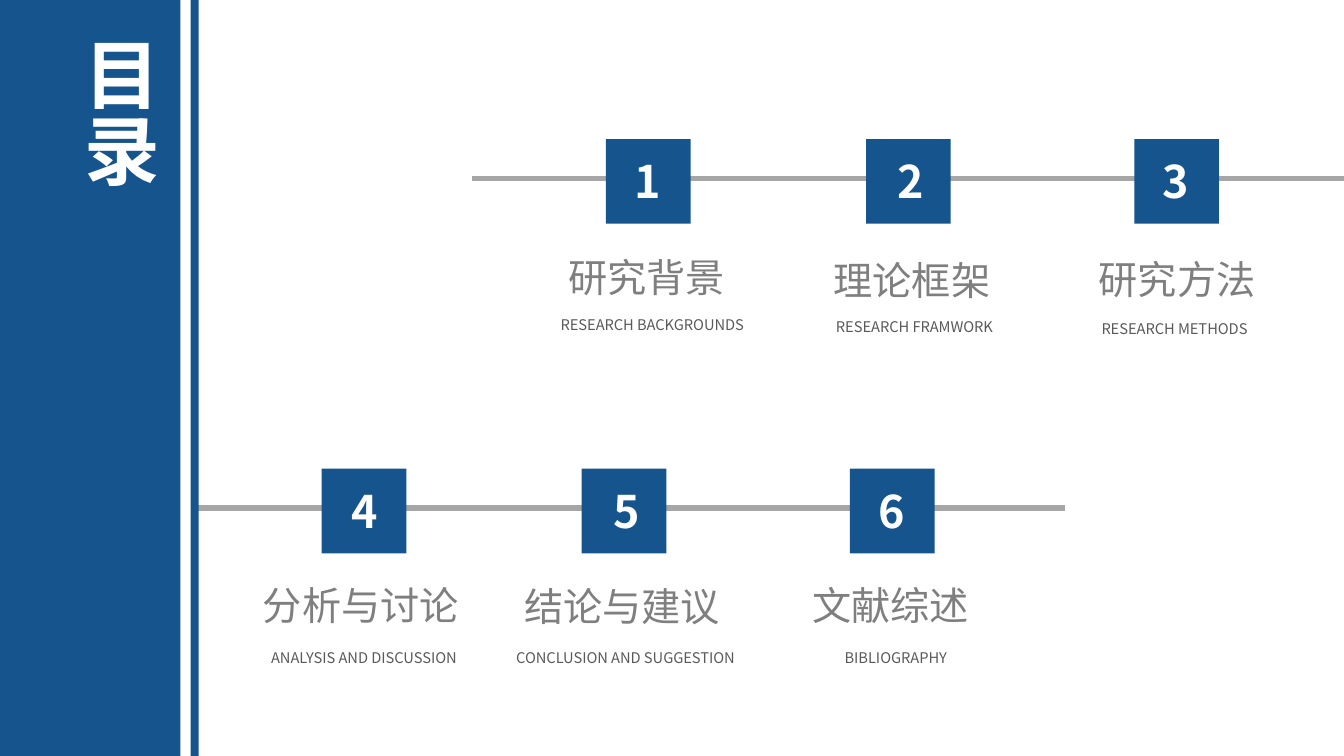
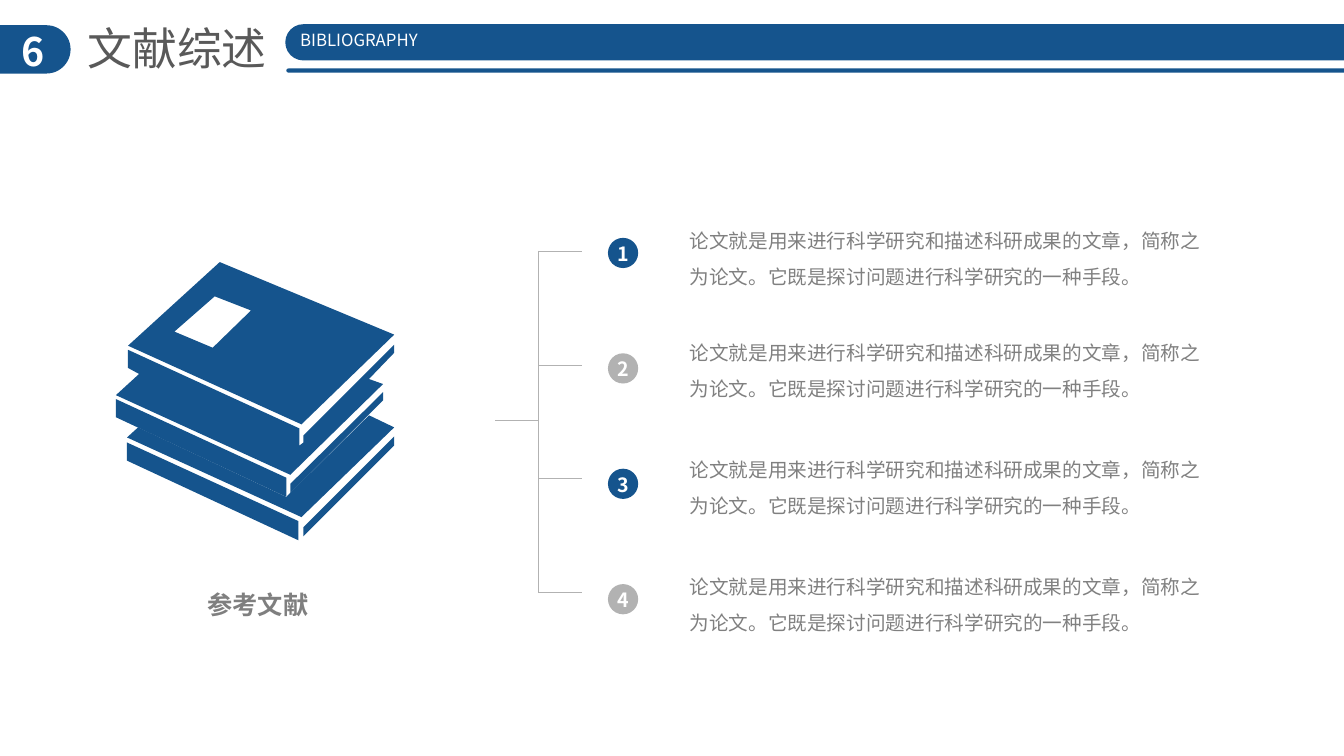
import lxml.etree
import pptx
import pptx.dml.color
import pptx.enum.shapes
import pptx.enum.text
import pptx.oxml.ns
import pptx.util

Inches = pptx.util.Inches
SHAPES = pptx.enum.shapes.MSO_SHAPE
ALIGN = pptx.enum.text.PP_ALIGN

FONT = "Noto Sans CJK SC"
COLORS = {
    "blue": "15548D",
    "white": "FFFFFF",
    "rail": "A6A6A6",
    "silver": "B2B2B2",
    "heading": "7F7F7F",
    "body": "808080",
    "dark": "595959",
}

SQUARE = 0.84
# Rail: start x, end x, y
RAILS = [(4.68, 13.33, 1.77), (1.9, 10.56, 5.04)]
# Square left and top, number left, heading box, caption box (left, top, width)
CONTENTS = [
    (6.01, 1.38, 5.89, "研究背景", (5.54, 2.46, 1.77), "RESEARCH BACKGROUNDS", (5.4, 3.08, 2.14)),
    (8.59, 1.38, 8.5, "理论框架", (8.17, 2.49, 1.77), "RESEARCH FRAMWORK", (8.13, 3.1, 1.88)),
    (11.25, 1.38, 11.13, "研究方法", (10.8, 2.48, 1.77), "RESEARCH METHODS", (10.78, 3.12, 1.74)),
    (3.19, 4.65, 3.08, "分析与讨论", (2.51, 5.72, 2.17), "ANALYSIS AND DISCUSSION", (2.45, 6.39, 2.32)),
    (5.77, 4.65, 5.68, "结论与建议", (5.1, 5.73, 2.17), "CONCLUSION AND SUGGESTION", (4.93, 6.39, 2.55)),
    (8.43, 4.65, 8.31, "文献综述", (7.96, 5.72, 1.77), "BIBLIOGRAPHY", (8.25, 6.39, 1.27)),
]

POINT_TEXT = "论文就是用来进行科学研究和描述科研成果的文章，简称之为论文。它既是探讨问题进行科学研究的一种手段。"
POINT_TOPS = [2.11, 3.22, 4.38, 5.54]

# Outlines of the book stack, each a list of contours in hundredths of an inch
BOOK_PARTS = [
    [[(126, 457), (296, 536), (296, 517), (126, 439)]],
    [[(301, 532), (391, 442), (391, 433), (301, 523)]],
    [[(115, 396), (115, 414), (284, 493), (284, 474)]],
    [[(288, 471), (380, 381), (366, 376), (391, 350), (391, 342), (301, 432), (301, 439),
      (297, 442), (297, 425), (127, 347), (127, 365), (138, 371), (115, 392)]],
    [[(391, 332), (218, 260), (127, 343), (299, 421)],
     [(211, 345), (173, 329), (213, 294), (249, 308)]],
    [[(288, 489), (380, 397), (380, 389), (288, 480)]],
    [[(366, 412), (288, 489), (284, 493), (137, 424), (126, 434), (299, 513), (391, 424)]],
]


def color(name):
    return pptx.dml.color.RGBColor.from_string(COLORS[name])


def paint(shape, fill):
    """Give a shape a flat fill with neither outline nor shadow."""
    shape.shadow.inherit = False
    shape.fill.solid()
    shape.fill.fore_color.rgb = color(fill)
    shape.line.fill.background()


def add_block(slide, kind, left, top, width, height, fill="blue"):
    shape = slide.shapes.add_shape(kind, Inches(left), Inches(top), Inches(width), Inches(height))
    paint(shape, fill)
    return shape


def add_pill(slide, left, top, width, height):
    shape = add_block(slide, SHAPES.ROUNDED_RECTANGLE, left, top, width, height)
    shape.adjustments[0] = 0.5


def add_line(slide, start, end, line_color, width):
    connector = slide.shapes.add_connector(
        pptx.enum.shapes.MSO_CONNECTOR.STRAIGHT,
        Inches(start[0]), Inches(start[1]), Inches(end[0]), Inches(end[1]))
    connector.line.color.rgb = color(line_color)
    connector.line.width = pptx.util.Pt(width)
    lxml.etree.SubElement(connector.element.spPr, pptx.oxml.ns.qn("a:effectLst"))


def add_text(slide, text, box, size, text_color, bold=False, align=ALIGN.LEFT,
             wrap=False, spacing=None, vertical=False):
    shape = slide.shapes.add_textbox(*(Inches(length) for length in box))
    frame = shape.text_frame
    frame.word_wrap = wrap
    frame.auto_size = pptx.enum.text.MSO_AUTO_SIZE.SHAPE_TO_FIT_TEXT
    if vertical:
        shape.element.txBody.bodyPr.set("vert", "eaVert")
    paragraph = frame.paragraphs[0]
    paragraph.alignment = align
    if spacing:
        paragraph.line_spacing = spacing
    run = paragraph.add_run()
    run.text = text
    run.font.size = pptx.util.Pt(size)
    run.font.bold = bold
    run.font.color.rgb = color(text_color)
    run.font.name = FONT
    east_asian = lxml.etree.SubElement(run.font.fill._xPr, pptx.oxml.ns.qn("a:ea"))
    east_asian.set("typeface", FONT)


def add_contents_item(slide, number, item):
    left, top, number_left, heading, heading_box, caption, caption_box = item
    add_block(slide, SHAPES.RECTANGLE, left, top, SQUARE, SQUARE)
    add_text(slide, str(number), (number_left, top + 0.1, 1.07, 0.72), 32, "white",
             bold=True, align=ALIGN.CENTER, wrap=True)
    add_text(slide, heading, (*heading_box, 0.57), 28, "heading")
    add_text(slide, caption, (*caption_box, 0.28), 10.5, "dark", align=ALIGN.CENTER)


def add_section_header(slide, number, title, caption):
    add_pill(slide, -0.28, 0.25, 0.98, 0.48)
    add_text(slide, str(number), (0.07, 0.22, 0.51, 0.57), 28, "white",
             bold=True, align=ALIGN.CENTER, wrap=True)
    add_text(slide, title, (0.77, 0.16, 2, 0.64), 32, "dark")
    add_pill(slide, 2.83, 0.24, 11.03, 0.36)
    add_pill(slide, 2.84, 0.68, 11.03, 0.04)
    add_text(slide, caption, (2.85, 0.25, 1.42, 0.3), 12, "white", align=ALIGN.CENTER)


def add_point(slide, index, text_top):
    circle_top = 2.36 + index * 1.145
    add_block(slide, SHAPES.OVAL, 6.03, circle_top, 0.3, 0.3, ("blue", "silver")[index % 2])
    add_text(slide, POINT_TEXT, (6.74, text_top, 5.44, 0.81), 14, "body", wrap=True, spacing=1.5)
    add_text(slide, str(index + 1), (6.02, circle_top - 0.01, 0.32, 0.34), 14, "white",
             bold=True, align=ALIGN.CENTER)


def add_bracket(slide, stem, spine, tip, stem_y, branches):
    """Draw a stem that meets a spine with one branch per height given."""
    for y in branches:
        add_line(slide, (spine, y), (tip, y), "silver", 0.5)
    add_line(slide, (spine, branches[0]), (spine, branches[-1]), "silver", 0.5)
    add_line(slide, (stem, stem_y), (spine, stem_y), "silver", 0.5)


def add_books(slide):
    group = slide.shapes.add_group_shape()
    for contours in BOOK_PARTS:
        builder = group.shapes.build_freeform(*contours[0][0], scale=Inches(0.01))
        for index, points in enumerate(contours):
            if index:
                builder.move_to(*points[0])
            builder.add_line_segments(points[1:], close=True)
        paint(builder.convert_to_shape(), "blue")


def build_contents(slide):
    for start, end, y in RAILS:
        add_line(slide, (start, y), (end, y), "rail", 4)
    for number, item in enumerate(CONTENTS, 1):
        add_contents_item(slide, number, item)
    add_block(slide, SHAPES.RECTANGLE, 0, 0, 1.79, 7.5)
    add_block(slide, SHAPES.RECTANGLE, 1.89, 0, 0.08, 7.5)
    add_text(slide, "目录", (0.58, 0.27, 1.11, 1.92), 54, "white", bold=True,
             align=ALIGN.JUSTIFY, wrap=True, vertical=True)


def build_bibliography(slide):
    add_section_header(slide, 6, "文献综述", "BIBLIOGRAPHY")
    for index, text_top in enumerate(POINT_TOPS):
        add_point(slide, index, text_top)
    add_bracket(slide, 4.91, 5.34, 5.77, 4.17, [2.49 + index * 1.13 for index in range(4)])
    add_books(slide)
    add_text(slide, "参考文献", (1.96, 5.8, 1.21, 0.4), 18, "heading", bold=True)


def main():
    presentation = pptx.Presentation()
    presentation.slide_width = Inches(13.33)
    presentation.slide_height = Inches(7.5)
    for build in (build_contents, build_bibliography):
        build(presentation.slides.add_slide(presentation.slide_layouts[6]))
    presentation.save("out.pptx")


if __name__ == "__main__":
    main()
